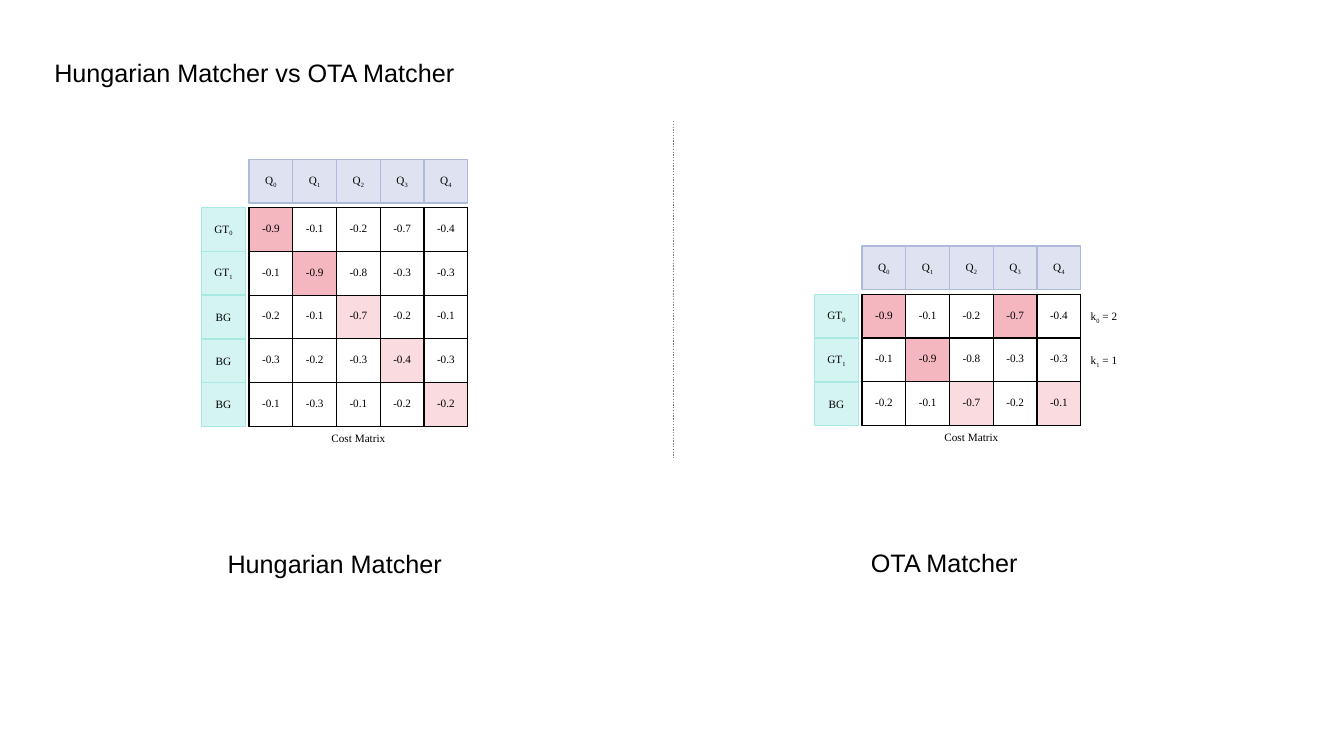
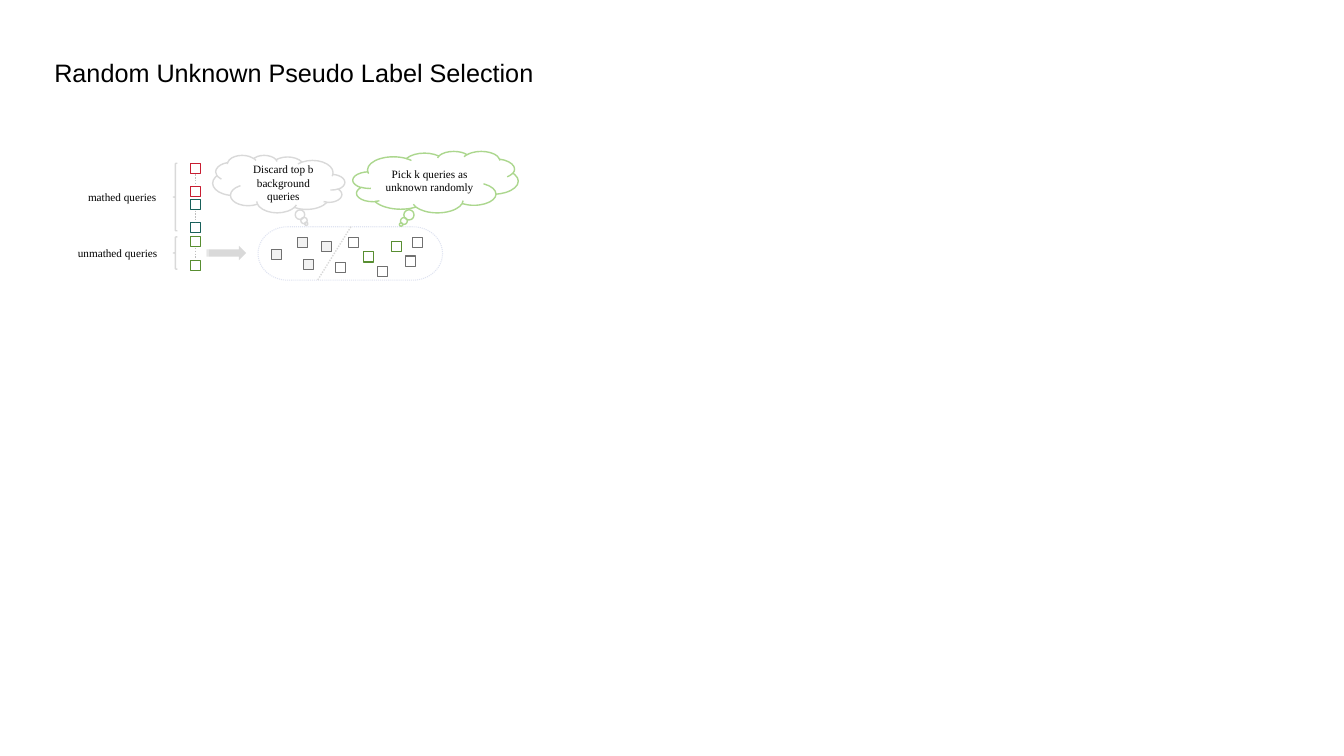
from lxml.etree import SubElement
from pptx import Presentation
from pptx.dml.color import RGBColor
from pptx.enum.dml import MSO_LINE
from pptx.enum.shapes import MSO_CONNECTOR, MSO_SHAPE
from pptx.enum.text import MSO_ANCHOR, MSO_AUTO_SIZE, PP_ALIGN
from pptx.oxml.ns import qn
from pptx.util import Inches, Pt

COLORS = {
    "ink": "000000",
    "query_fill": "DFE3F1", "query_line": "AEBADC",
    "target_fill": "D4F4F2", "target_line": "A9E9E4",
    "match": "F5B7BF", "background_match": "FADBDF",
    "known": "C81D31", "matched": "18605A", "unknown": "588E31",
    "idle": "707070", "discarded": "F2F2F2",
    "soft_gray": "D9D9D9", "dots": "BFBFBF", "divider": "808080",
    "pick": "ACD78E",
}
HEADING = ("Arial", 18)
LABEL = ("Times New Roman", 8)
CELL = 2.17 / 5
SQUARE = 0.1


def place(slide, kind, box, text="", style=LABEL, align=PP_ALIGN.CENTER,
          fill=None, line=None, width=1, adjust=()):
    left, top, wide, high = [Inches(v) for v in box]
    if kind is None:
        shape = slide.shapes.add_textbox(left, top, wide, high)
        shape.text_frame.auto_size = MSO_AUTO_SIZE.SHAPE_TO_FIT_TEXT
    else:
        shape = slide.shapes.add_shape(kind, left, top, wide, high)
        shape.shadow.inherit = False
        shape.text_frame.vertical_anchor = MSO_ANCHOR.MIDDLE
    for index, value in enumerate(adjust):
        shape.adjustments[index] = value
    if fill:
        shape.fill.solid()
        shape.fill.fore_color.rgb = RGBColor.from_string(COLORS[fill])
    else:
        shape.fill.background()
    if line:
        shape.line.color.rgb = RGBColor.from_string(COLORS[line])
        shape.line.width = Pt(width)
    else:
        shape.line.fill.background()
    shape.text_frame.word_wrap = True
    if text:
        paragraph = shape.text_frame.paragraphs[0]
        paragraph.alignment = align
        for index, part in enumerate(text.split("_")):
            run = paragraph.add_run()
            run.text = part
            run.font.name, run.font.size = style[0], Pt(style[1])
            run.font.color.rgb = RGBColor.from_string(COLORS["ink"])
            if index % 2:
                run.font._element.set("baseline", "-25000")
    return shape


def dotted_line(slide, start, end, color):
    points = [Inches(v) for v in start + end]
    line = slide.shapes.add_connector(MSO_CONNECTOR.STRAIGHT, *points)
    line.line.color.rgb = RGBColor.from_string(COLORS[color])
    line.line.width = Pt(1)
    line.line.dash_style = MSO_LINE.ROUND_DOT
    SubElement(line._element.spPr, qn("a:effectLst"))


deck = Presentation()
deck.slide_width, deck.slide_height = Inches(13.33), Inches(7.5)
slides = []
for title, width in [("Hungarian Matcher vs OTA Matcher ", 4.44),
                     ("Random Unknown Pseudo Label Selection", 5.32)]:
    slide = deck.slides.add_slide(deck.slide_layouts[6])
    place(slide, None, (0.44, 0.52, width, 0.4), title, HEADING, PP_ALIGN.LEFT)
    slides.append(slide)
matchers, selection = slides

shared_costs = [
    [-0.9, -0.1, -0.2, -0.7, -0.4],
    [-0.1, -0.9, -0.8, -0.3, -0.3],
    [-0.2, -0.1, -0.7, -0.2, -0.1],
]
hungarian_costs = shared_costs + [
    [-0.3, -0.2, -0.3, -0.4, -0.3],
    [-0.1, -0.3, -0.1, -0.2, -0.2],
]
hungarian_matches = [(i, i) for i in range(5)]
ota_matches = [(0, 0), (0, 3), (1, 1), (2, 2), (2, 4)]

for name, left, top, name_top, costs, matches in [
    ("Hungarian Matcher", 2.47, 2.06, 5.39, hungarian_costs, hungarian_matches),
    ("OTA Matcher ", 8.55, 2.92, 5.38, shared_costs, ota_matches),
]:
    height = CELL * len(costs)
    matrix = matchers.shapes.add_table(
        len(costs), 5, Inches(left), Inches(top),
        Inches(CELL * 5), Inches(height)).table
    matrix.first_row = matrix.horz_banding = False
    for column in matrix.columns:
        column.width = Inches(CELL)
    for row, values in enumerate(costs):
        matrix.rows[row].height = Inches(CELL)
        for col, cost in enumerate(values):
            cell = matrix.cell(row, col)
            cell.vertical_anchor = MSO_ANCHOR.MIDDLE
            paragraph = cell.text_frame.paragraphs[0]
            paragraph.alignment = PP_ALIGN.CENTER
            paragraph.line_spacing = 0.8
            run = paragraph.add_run()
            run.text = str(cost)
            run.font.name, run.font.size = LABEL[0], Pt(LABEL[1])
            run.font.color.rgb = RGBColor.from_string(COLORS["ink"])
            properties = cell._tc.get_or_add_tcPr()
            for side in ("a:lnL", "a:lnR", "a:lnT", "a:lnB"):
                border = SubElement(properties, qn(side), w=str(Pt(1)))
                solid = SubElement(border, qn("a:solidFill"))
                SubElement(solid, qn("a:srgbClr"), val=COLORS["ink"])
            if (row, col) in matches:
                shade = "match" if row < 2 else "background_match"
                cell.fill.solid()
                cell.fill.fore_color.rgb = RGBColor.from_string(COLORS[shade])
            else:
                cell.fill.background()
    for col in range(5):
        place(matchers, MSO_SHAPE.RECTANGLE,
              (left + col * CELL, top - 0.48, CELL, CELL), f"Q_{col}",
              fill="query_fill", line="query_line")
    for row in range(len(costs)):
        place(matchers, MSO_SHAPE.RECTANGLE,
              (left - 0.47, top + row * CELL, CELL, CELL),
              f"GT_{row}" if row < 2 else "BG",
              fill="target_fill", line="target_line")
    place(matchers, None, (left, top + height, CELL * 5, 0.23), "Cost Matrix")
    place(matchers, None, (left - 0.47, name_top, 2.64, 0.4), name, HEADING)

for row, count in enumerate([2, 1]):
    place(matchers, None, (10.72, 3.02 + row * CELL, 2.17, 0.23),
          f"k_{row}_ = {count}", align=PP_ALIGN.LEFT)
dotted_line(matchers, (6.68, 1.2), (6.68, 4.56), "divider")

for top, color in [(1.62, "known"), (1.98, "matched"), (2.35, "unknown")]:
    for square_top in (top, top + 0.23):
        place(selection, MSO_SHAPE.RECTANGLE,
              (1.89, square_top, SQUARE, SQUARE), line=color, width=0.75)
    dotted_line(selection, (1.94, top + 0.11), (1.94, top + 0.22), "dots")

for text, left, top, width, brace_top, brace_height in [
    ("mathed queries", 0.7, 1.84, 0.95, 1.62, 0.67),
    ("unmathed queries", 0.57, 2.39, 1.09, 2.35, 0.32),
]:
    place(selection, MSO_SHAPE.LEFT_BRACE, (1.72, brace_top, 0.04, brace_height),
          line="soft_gray", adjust=(0.083, 0.5))
    place(selection, None, (left, top, width, 0.23), text, align=PP_ALIGN.RIGHT)

pool = place(selection, MSO_SHAPE.FLOWCHART_TERMINATOR, (2.56, 2.25, 1.83, 0.53),
             line="query_fill", width=0.75)
pool.line.dash_style = MSO_LINE.ROUND_DOT

discarded = [(2.95, 2.36), (2.69, 2.48), (3.01, 2.57), (3.19, 2.4)]
remaining = [(3.33, 2.6), (3.46, 2.36), (3.74, 2.64), (4.09, 2.36), (4.02, 2.54)]
picked = [(3.61, 2.5), (3.88, 2.4)]
for queries, fill, line in [(discarded, "discarded", "idle"),
                            (remaining, None, "idle"),
                            (picked, None, "unknown")]:
    for left, top in queries:
        place(selection, MSO_SHAPE.RECTANGLE, (left, top, SQUARE, SQUARE),
              fill=fill, line=line, width=0.75)

place(selection, MSO_SHAPE.STRIPED_RIGHT_ARROW, (2.05, 2.44, 0.39, 0.14),
      fill="soft_gray")
dotted_line(selection, (3.48, 2.25), (3.15, 2.78), "soft_gray")

for text, box, color, flipped in [
    ("Discard top b background queries", (2.11, 1.54, 1.31, 0.57), "soft_gray", True),
    ("Pick k queries as unknown randomly", (3.5, 1.5, 1.64, 0.61), "pick", False),
]:
    cloud = place(selection, MSO_SHAPE.CLOUD_CALLOUT, box, text, line=color,
                  adjust=(-0.208, 0.693))
    if flipped:
        cloud._element.spPr.xfrm.set("flipH", "1")

deck.save("out.pptx")
